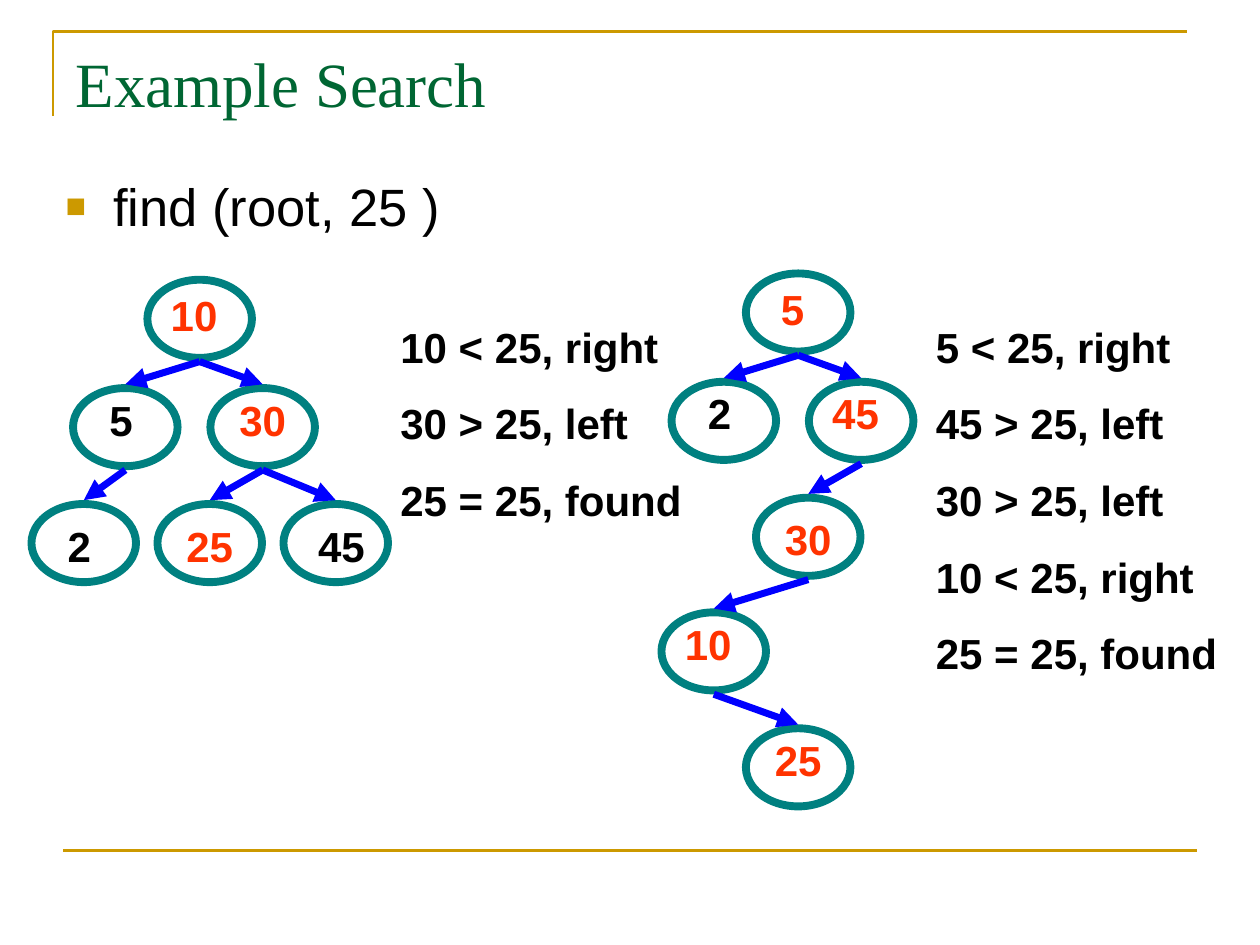
import pptx
import pptx.util
import pptx.dml.color
import pptx.enum.shapes
import pptx.enum.text
import pptx.oxml
import pptx.oxml.ns

Inches = pptx.util.Inches
Pt = pptx.util.Pt
ALIGN = pptx.enum.text.PP_ALIGN
ANCHOR = pptx.enum.text.MSO_ANCHOR
FIT = pptx.enum.text.MSO_AUTO_SIZE

# Content
TITLE = "Example Search"
CALL = "find (root, 25 )"
COLORS = {"gold": "CC9900", "title": "006633", "text": "000000",
          "node": "008080", "link": "0000FF", "hit": "FF3300"}

# Node: value, on search way, oval left and top, label left, top and width
TREES = [
    {"nodes": [("10", True, 1.17, 2.22, 1.25, 2.25, 0.58),
               ("5", False, 0.58, 3.08, 0.75, 3.08, 0.42),
               ("30", True, 1.67, 3.08, 1.75, 3.08, 0.67),
               ("2", False, 0.25, 4, 0.42, 4.08, 0.42),
               ("25", True, 1.25, 4, 1.33, 4.08, 0.67),
               ("45", False, 2.25, 4, 2.42, 4.08, 0.58)],
     "links": [("10", "5"), ("10", "30"), ("5", "2"),
               ("30", "25"), ("30", "45")],
     "steps": ["10 < 25, right", "30 > 25, left", "25 = 25, found"],
     "notes": (3.08, 2.5, 2.5, 1.72)},
    {"nodes": [("5", True, 5.92, 2.17, 6.08, 2.2, 0.42),
               ("2", False, 5.33, 3.03, 5.5, 3.03, 0.42),
               ("45", True, 6.42, 3.03, 6.5, 3.03, 0.58),
               ("30", True, 6, 3.95, 6.08, 4.03, 0.67),
               ("10", True, 5.25, 4.86, 5.33, 4.86, 0.58),
               ("25", True, 5.92, 5.78, 6, 5.78, 0.67)],
     "links": [("5", "2"), ("5", "45"), ("45", "30"),
               ("30", "10"), ("10", "25")],
     "steps": ["5 < 25, right", "45 > 25, left", "30 > 25, left",
               "10 < 25, right", "25 = 25, found"],
     "notes": (7.33, 2.5, 2.5, 2.94)},
]

# Sizes and formats
WIDE, HIGH, GAP = 0.83, 0.62, 0.03
HEAD = {"name": "Times New Roman", "size": Pt(36), "bold": False}
LIST = {"name": "Arial", "size": Pt(30), "bold": False}
BOLD = {"name": "Arial", "size": Pt(24), "bold": True}
FRAME = {"word_wrap": True, "auto_size": FIT.NONE,
         "vertical_anchor": ANCHOR.TOP,
         "margin_left": Inches(0.1), "margin_right": Inches(0.1),
         "margin_top": Inches(0.05), "margin_bottom": Inches(0.05)}


def apply(item, style):
    for name, value in style.items():
        setattr(item, name, value)


def color(name):
    return pptx.dml.color.RGBColor.from_string(COLORS[name])


def stroke(item, name, width):
    item.line.color.rgb = color(name)
    item.line.width = Pt(width)


def place(item, left, top, width, height):
    apply(item, {"left": Inches(left), "top": Inches(top),
                 "width": Inches(width), "height": Inches(height)})


def write(box, lines, style, tint, align=ALIGN.LEFT, space=0):
    frame = box.text_frame
    apply(frame, FRAME)
    for i, line in enumerate(lines):
        para = frame.add_paragraph() if i else frame.paragraphs[0]
        para.text = line
        apply(para, {"alignment": align, "space_before": Pt(space if i else 0)})
        apply(para.runs[0].font, style)
        para.runs[0].font.color.rgb = color(tint)


def text(slide, at, *args):
    box = slide.shapes.add_textbox(*map(Inches, at))
    write(box, *args)


def xml(parent, tag, **attrs):
    node = pptx.oxml.parse_xml(
        f"<a:{tag} {pptx.oxml.ns.nsdecls('a')}/>")
    for name, value in attrs.items():
        node.set(name, value)
    parent.append(node)
    return node


def line(slide, start, end, tint, width, arrow=False):
    kind = pptx.enum.shapes.MSO_CONNECTOR.STRAIGHT
    item = slide.shapes.add_connector(kind, *map(Inches, start + end))
    stroke(item, tint, width)
    if arrow:
        xml(item.line._get_or_add_ln(), "tailEnd", type="triangle")
    xml(item._element.spPr, "effectLst")


def bullet(para):
    props = para._p.get_or_add_pPr()
    props.set("marL", str(Inches(0.38)))
    props.set("indent", str(-Inches(0.38)))
    xml(xml(props, "buClr"), "srgbClr", val=COLORS["gold"])
    xml(props, "buSzPct", val="65000")
    xml(props, "buFont", typeface="Arial")
    xml(props, "buChar", char="■")


def draw(slide, tree):
    spots = {}
    # Ovals
    for value, hit, left, top, *label in tree["nodes"]:
        spots[value] = (left + WIDE / 2, top)
        oval = slide.shapes.add_shape(
            pptx.enum.shapes.MSO_SHAPE.OVAL,
            *map(Inches, (left, top, WIDE, HIGH)))
        oval.shadow.inherit = False
        oval.fill.background()
        stroke(oval, "node", 4.5)
    # Arrows from parent to child
    for upper, lower in tree["links"]:
        (x1, y1), (x2, y2) = spots[upper], spots[lower]
        line(slide, (x1, y1 + HIGH + GAP), (x2, y2 - GAP), "link", 4, True)
    # Values
    for value, hit, _, _, left, top, width in tree["nodes"]:
        text(slide, (left, top, width, 0.5), [value], BOLD,
             "hit" if hit else "text", ALIGN.CENTER)
    # Search steps
    text(slide, tree["notes"], tree["steps"], BOLD, "text", ALIGN.LEFT, 15)


def main():
    deck = pptx.Presentation()
    apply(deck, {"slide_width": Inches(10), "slide_height": Inches(7.5)})
    slide = deck.slides.add_slide(deck.slide_layouts[1])

    # Gold corner and foot rule
    pen = slide.shapes.build_freeform(Inches(0.42), Inches(0.92))
    pen.add_line_segments([(Inches(0.42), Inches(0.25)),
                           (Inches(9.42), Inches(0.25))], close=False)
    corner = pen.convert_to_shape()
    corner.shadow.inherit = False
    corner.fill.background()
    stroke(corner, "gold", 1.5)
    line(slide, (0.5, 6.75), (9.5, 6.75), "gold", 1.5)

    # Title and list
    title, body = slide.shapes.title, slide.placeholders[1]
    place(title, 0.5, 0.3, 4.5, 0.7)
    write(title, [TITLE], HEAD, "title")
    place(body, 0.42, 1.33, 9, 4.95)
    write(body, [CALL], LIST, "text")
    bullet(body.text_frame.paragraphs[0])

    for tree in TREES:
        draw(slide, tree)
    deck.save("out.pptx")


if __name__ == "__main__":
    main()
